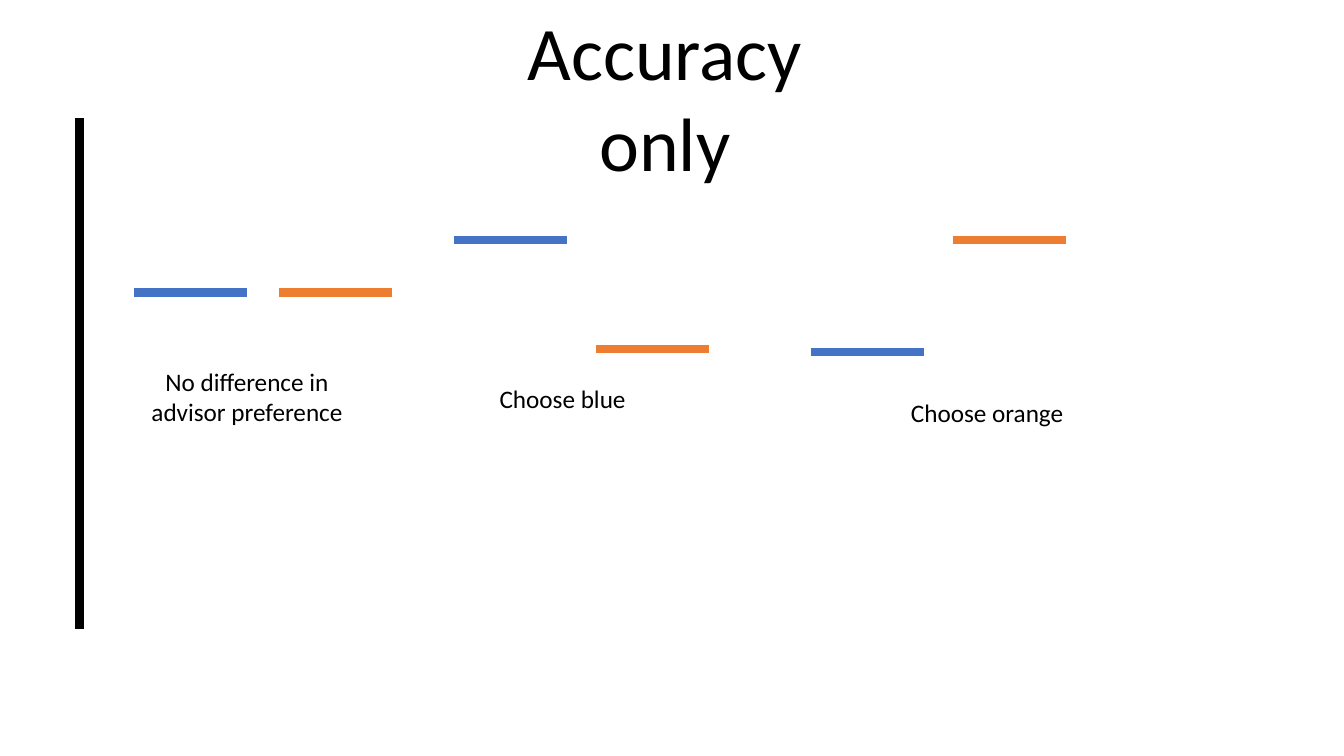
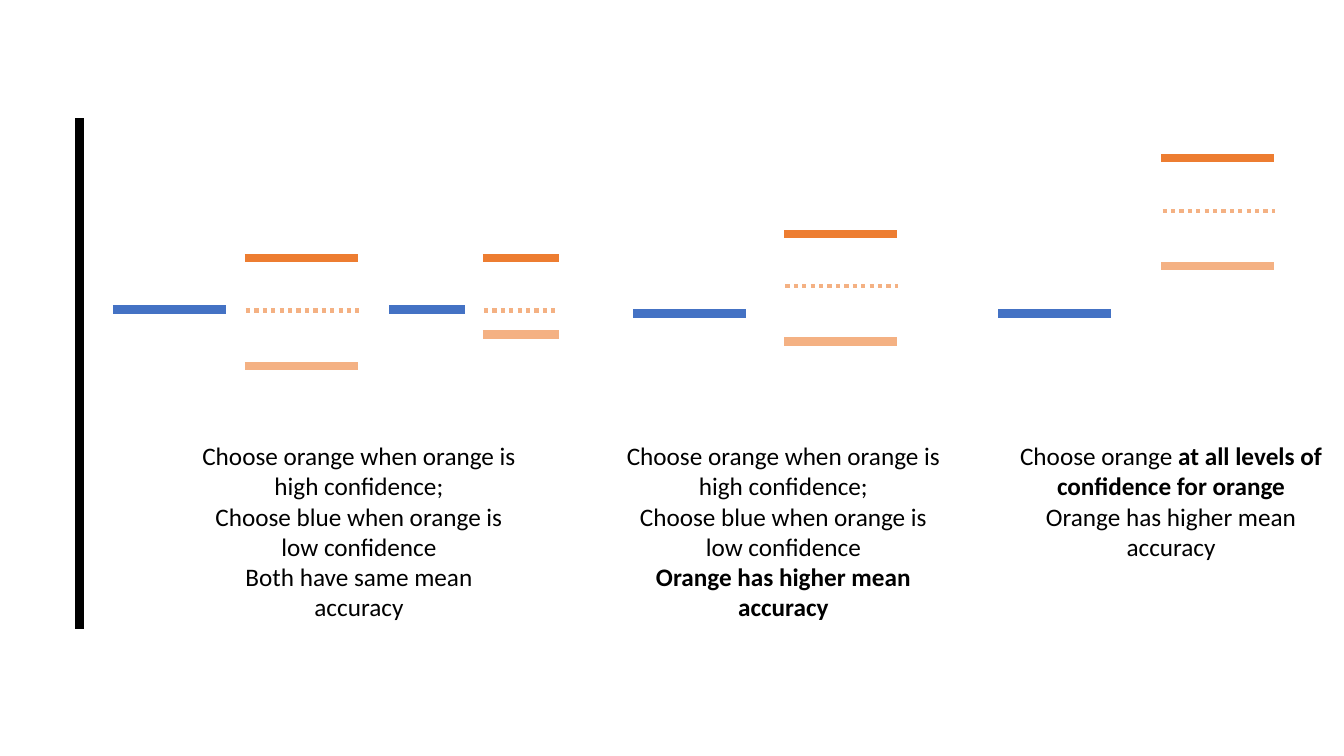
from pptx import Presentation
from pptx.dml.color import RGBColor
from pptx.enum.dml import MSO_LINE_DASH_STYLE as Dash
from pptx.enum.shapes import MSO_CONNECTOR as Connector
from pptx.enum.text import MSO_AUTO_SIZE as AutoSize, PP_ALIGN as Align
from pptx.oxml.ns import qn
from pptx.util import Inches, Pt
from lxml import etree

BLUE, ORANGE, PALE_ORANGE, BLACK = "4472C4", "ED7D31", "F4B183", "000000"
BAR_WIDTH = 1.12


def color(hex_string):
    return RGBColor.from_string(hex_string)


def add_run(paragraph, text, size=18, bold=False, font="Calibri", fill=BLACK):
    run = paragraph.add_run()
    run.text = text
    run.font.name = font
    run.font.size = Pt(size)
    run.font.bold = bold
    run.font.color.rgb = color(fill)


class Deck:
    """Holds the shared style and the current slide."""

    def __init__(self):
        self.presentation = Presentation()
        self.presentation.slide_width = Inches(13.33)
        self.presentation.slide_height = Inches(7.5)
        self.slide = None

    def new_slide(self):
        self.slide = self.presentation.slides.add_slide(self.presentation.slide_layouts[6])
        # Vertical accuracy axis
        self.line(0.79, 6.24, 0.79, 1.17, BLACK)

    def line(self, x1, y1, x2, y2, stroke, width=6, dash=None):
        connector = self.slide.shapes.add_connector(
            Connector.STRAIGHT, Inches(x1), Inches(y1), Inches(x2), Inches(y2))
        connector.line.color.rgb = color(stroke)
        connector.line.width = Pt(width)
        if dash:
            connector.line.dash_style = dash
        etree.SubElement(connector._element.spPr, qn("a:effectLst"))

    def bar(self, left, level, stroke, length=BAR_WIDTH, **style):
        self.line(left, level, left + length, level, stroke, **style)

    def confidence_levels(self, left, high, length=BAR_WIDTH, mean_length=BAR_WIDTH, drop=1.07):
        """High and low confidence bars with the dotted mean between them."""
        self.bar(left, high + drop, PALE_ORANGE, length)
        self.bar(left, high, ORANGE, length)
        self.bar(left + 0.01, high + 0.52, PALE_ORANGE, mean_length,
                 width=3, dash=Dash.ROUND_DOT)

    def text(self, left, top, width, height, *paragraphs, size=18):
        """Each paragraph is a list of (text, bold) runs."""
        box = self.slide.shapes.add_textbox(
            Inches(left), Inches(top), Inches(width), Inches(height))
        frame = box.text_frame
        frame.word_wrap = True
        frame.auto_size = AutoSize.SHAPE_TO_FIT_TEXT
        for index, runs in enumerate(paragraphs):
            paragraph = frame.add_paragraph() if index else frame.paragraphs[0]
            paragraph.alignment = Align.CENTER
            for text, bold in runs:
                add_run(paragraph, text, size=size, bold=bold)


def accuracy_slide(deck):
    deck.new_slide()
    deck.text(4.8, 0, 3.59, 1.92, [("Accuracy only", False)], size=54)

    # Blue and orange advisor of each case
    for blue_left, blue_level, orange_left, orange_level in [
        (1.33, 2.9, 2.77, 2.9),
        (4.5, 2.38, 5.91, 3.46),
        (8.04, 3.49, 9.45, 2.38),
    ]:
        deck.bar(blue_left, blue_level, BLUE)
        deck.bar(orange_left, orange_level, ORANGE)

    # Resulting choices
    for left, top, width, height, choice in [
        (1.36, 3.58, 2.18, 0.71, "No difference in advisor preference"),
        (4.49, 3.75, 2.18, 0.4, "Choose blue"),
        (8.4, 3.89, 2.78, 0.4, "Choose orange"),
    ]:
        deck.text(left, top, width, height, [(choice, False)])


def confidence_slide(deck):
    deck.new_slide()

    # Blue advisors
    for left, level, length in [
        (1.12, 3.07, BAR_WIDTH),
        (3.86, 3.07, 0.75),
        (6.28, 3.11, BAR_WIDTH),
        (9.9, 3.11, BAR_WIDTH),
    ]:
        deck.bar(left, level, BLUE, length)

    # Orange advisors
    deck.confidence_levels(2.43, 2.56)
    deck.confidence_levels(4.79, 2.56, length=0.75, mean_length=0.71, drop=0.76)
    deck.confidence_levels(7.78, 2.32)
    deck.confidence_levels(11.52, 1.57)

    # Resulting choices
    by_confidence = [
        [("Choose orange when orange is high confidence;", False)],
        [("Choose blue when orange is low confidence", False)],
    ]
    higher_mean = "Orange has higher mean accuracy"
    deck.text(1.9, 4.32, 3.32, 1.92, *by_confidence,
              [("Both have same mean accuracy", False)])
    deck.text(6.11, 4.32, 3.32, 1.92, *by_confidence, [(higher_mean, True)])
    deck.text(9.9, 4.32, 3.43, 1.31,
              [("Choose orange ", False), ("at all levels of confidence for orange", True)],
              [(higher_mean, False)])


def main():
    deck = Deck()
    accuracy_slide(deck)
    confidence_slide(deck)
    deck.presentation.save("out.pptx")


if __name__ == "__main__":
    main()
